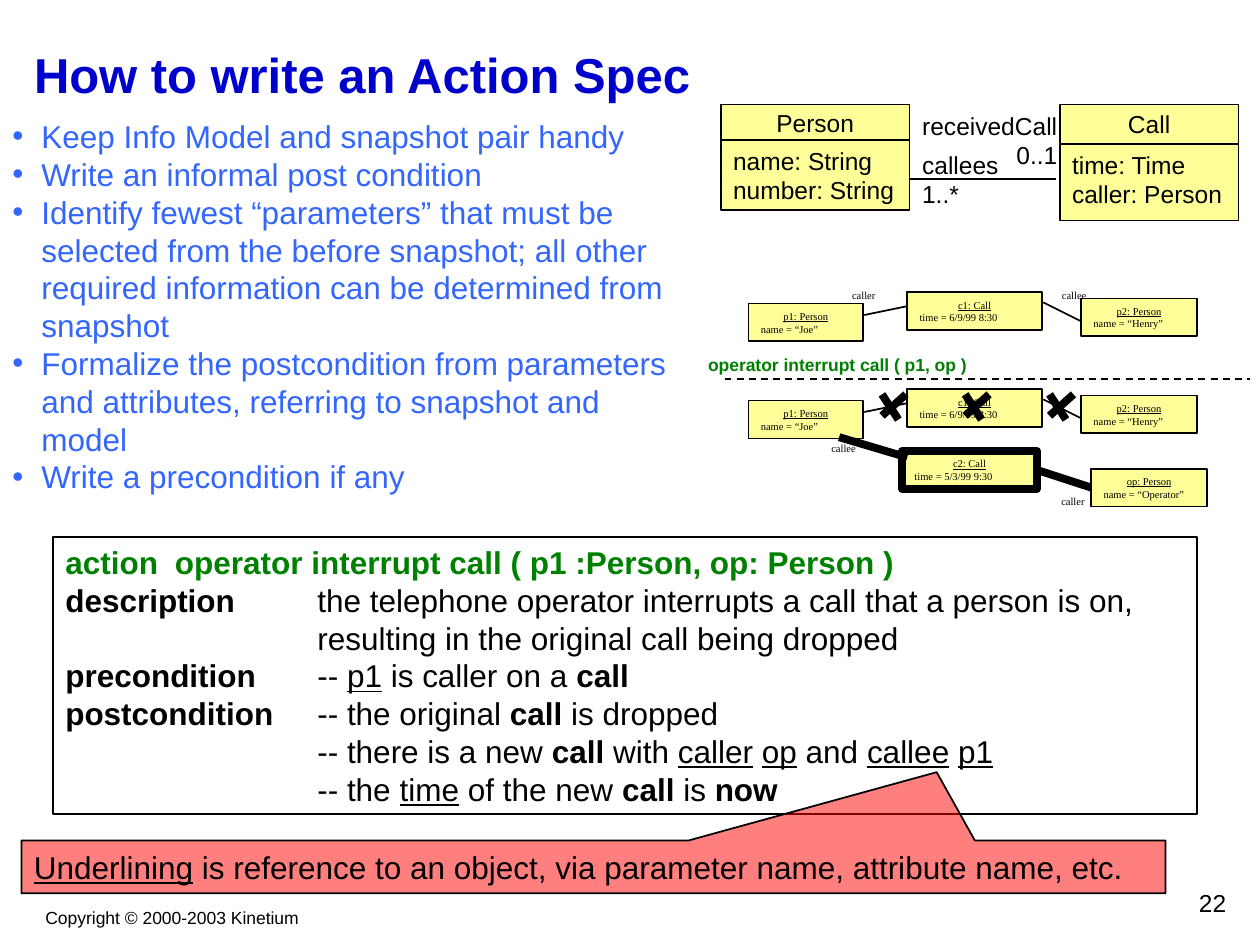
from lxml.etree import SubElement
from pptx import Presentation
from pptx.dml.color import RGBColor
from pptx.enum.dml import MSO_LINE
from pptx.enum.shapes import MSO_CONNECTOR, MSO_SHAPE
from pptx.enum.text import MSO_ANCHOR, PP_ALIGN
from pptx.oxml.ns import qn
from pptx.util import Inches, Pt

BLACK = RGBColor(0x00, 0x00, 0x00)
TITLE_BLUE = RGBColor(0x00, 0x00, 0xCC)
BULLET_BLUE = RGBColor(0x33, 0x66, 0xFF)
GREEN = RGBColor(0x00, 0x80, 0x00)
YELLOW = RGBColor(0xFF, 0xFF, 0x99)
RED = RGBColor(0xFF, 0x00, 0x00)
SANS, SERIF = "Arial", "Times New Roman"
LEFT, CENTER, RIGHT = PP_ALIGN.LEFT, PP_ALIGN.CENTER, PP_ALIGN.RIGHT
TOP, MIDDLE = MSO_ANCHOR.TOP, MSO_ANCHOR.MIDDLE

TITLE = "How to write an Action Spec"
STEPS = [
    "Keep Info Model and snapshot pair handy",
    "Write an informal post condition",
    "Identify fewest “parameters” that must be selected from the before snapshot; "
    "all other required information can be determined from snapshot",
    "Formalize the postcondition from parameters and attributes, "
    "referring to snapshot and model",
    "Write a precondition if any",
]
# A run is plain text or (text, style): b bold, u underlined, g green
SPEC = [
    [("action\toperator interrupt call ( p1 :Person, op: Person )", "bg")],
    [("description\t", "b"), "the telephone operator interrupts a call that a person is on,"],
    ["\tresulting in the original call being dropped"],
    [("precondition\t", "b"), "-- ", ("p1", "u"), " is caller on a ", ("call", "b")],
    [("postcondition\t", "b"), "-- the original ", ("call", "b"), " is dropped"],
    ["\t-- there is a new ", ("call", "b"), " with ", ("caller", "u"), " ", ("op", "u"),
     " and ", ("callee", "u"), " ", ("p1", "u")],
    ["\t-- the ", ("time", "u"), " of the new ", ("call", "b"), " is ", ("now", "b")],
]
SPEC_TABS = [0.87] + [2] * 6
CALLOUT = [[("Underlining", "u"),
            " is reference to an object, via parameter name, attribute name, etc."]]

# name, attributes, left, width, heading height, body height
CLASSES = [
    ("Person", ["name: String", "number: String"], 5.72, 1.5, 0.28, 0.56),
    ("Call", ["time: Time", "caller: Person"], 8.41, 1.42, 0.31, 0.61),
]
CLASS_TOP = 0.83
# lines, box, alignment
ROLES = [
    (["callees", "1..*"], (7.22, 1.14, 0.86, 0.57), LEFT),
    (["receivedCall", "0..1"], (7.19, 0.83, 1.3, 0.57), RIGHT),
]

# Objects and links in both snapshots, placed for the upper one
BEFORE = [
    ("p1: Person", "name = “Joe”", 5.94, 2.41, 0.91),
    ("p2: Person", "name = “Henry”", 8.58, 2.37, 0.92),
    ("c1: Call", "time = 6/9/99 8:30", 7.2, 2.32, 1.07),
]
BEFORE_LINKS = [((6.86, 2.5), (7.2, 2.43)), ((8.28, 2.4), (8.58, 2.55))]
SNAPSHOT_OFFSETS = [0, 0.77]
NEW_CALL = ("c2: Call", "time = 5/3/99 9:30", 7.16, 3.58, 1.07)
OPERATOR = ("op: Person", "name = “Operator”", 8.66, 3.72, 0.92)
LINK_LABELS = [("caller", 6.63, 2.24), ("callee", 8.3, 2.24),
               ("caller", 8.29, 3.88), ("callee", 6.47, 3.46)]
LINK_LABEL_WIDTH = 0.45
CROSS_LEFTS = [7, 7.66, 8.33]
CROSS_TOP = 3.13
THICK = 4.5


def write(shape, paragraphs, size, font=SANS, color=BLACK, alignments=(LEFT,),
          anchor=MIDDLE, wrap=True):
    """Fill a shape with paragraphs of runs; the last alignment repeats."""
    frame = shape.text_frame
    frame.word_wrap, frame.vertical_anchor = wrap, anchor
    for index, runs in enumerate(paragraphs):
        paragraph = frame.paragraphs[0] if index == 0 else frame.add_paragraph()
        paragraph.alignment = alignments[min(index, len(alignments) - 1)]
        for item in [runs] if isinstance(runs, str) else runs:
            text, style = (item, "") if isinstance(item, str) else item
            run = paragraph.add_run()
            run.text = text
            formats = {"size": Pt(size), "name": font, "bold": "b" in style,
                       "underline": "u" in style}
            for name, value in formats.items():
                setattr(run.font, name, value)
            run.font.color.rgb = GREEN if "g" in style else color
    return shape


def add_text(slide, box, paragraphs, size, **formats):
    shape = slide.shapes.add_textbox(*map(Inches, box))
    return write(shape, paragraphs, size, **formats)


def add_box(slide, box, fill=YELLOW, weight=1, kind=MSO_SHAPE.RECTANGLE):
    shape = slide.shapes.add_shape(kind, *map(Inches, box))
    shape.shadow.inherit = False
    if fill is None:
        shape.fill.background()
    else:
        shape.fill.solid()
        shape.fill.fore_color.rgb = fill
    shape.line.color.rgb, shape.line.width = BLACK, Pt(weight)
    return shape


def add_line(slide, start, end, weight=1):
    line = slide.shapes.add_connector(MSO_CONNECTOR.STRAIGHT, *map(Inches, start + end))
    line.line.color.rgb, line.line.width = BLACK, Pt(weight)
    SubElement(line.element.spPr, qn("a:effectLst"))
    return line


def add_object(slide, name, attribute, left, top, width, weight=1):
    shape = add_box(slide, (left, top, width, 0.3), weight=weight)
    return write(shape, [[(name, "u")], attribute], 6, font=SERIF, alignments=(CENTER, LEFT))


def add_bullet(paragraph):
    properties = paragraph._p.get_or_add_pPr()
    properties.set("marL", str(Inches(0.23)))
    properties.set("indent", str(-Inches(0.23)))
    SubElement(properties, qn("a:buFont"), typeface=SANS)
    SubElement(properties, qn("a:buChar"), char="•")


def add_tab(paragraph, position):
    tabs = SubElement(paragraph._p.get_or_add_pPr(), qn("a:tabLst"))
    SubElement(tabs, qn("a:tab"), pos=str(Inches(position)), algn="l")


def draw_class_model(slide):
    for name, attributes, left, width, heading, body in CLASSES:
        write(add_box(slide, (left, CLASS_TOP, width, heading)), [name], 14,
              alignments=(CENTER,), wrap=False)
        write(add_box(slide, (left, CLASS_TOP + heading, width, body)), attributes, 14,
              anchor=TOP, wrap=False)
    add_line(slide, (7.22, 1.42), (8.38, 1.42))
    for lines, box, alignment in ROLES:
        add_text(slide, box, lines, 14, alignments=(alignment,), anchor=TOP)


def draw_snapshots(slide):
    add_line(slide, (5.75, 3.01), (9.92, 3.01)).line.dash_style = MSO_LINE.DASH
    add_text(slide, (5.52, 2.76, 2.25, 0.27), [[("operator interrupt call ( p1, op )", "bg")]],
             10, alignments=(CENTER,), wrap=False)
    for offset in SNAPSHOT_OFFSETS:
        for name, attribute, left, top, width in BEFORE:
            add_object(slide, name, attribute, left, top + offset, width)
        for (x1, y1), (x2, y2) in BEFORE_LINKS:
            add_line(slide, (x1, y1 + offset), (x2, y2 + offset))
    for label, left, top in LINK_LABELS:
        add_text(slide, (left, top, LINK_LABEL_WIDTH, 0.2), [label], 6, font=SERIF,
                 alignments=(CENTER,))
    for left in CROSS_LEFTS:
        add_line(slide, (left + 0.19, CROSS_TOP), (left, CROSS_TOP + 0.17), THICK)
        add_line(slide, (left, CROSS_TOP), (left + 0.13, CROSS_TOP + 0.2), THICK)
    new_call = add_object(slide, *NEW_CALL, weight=THICK)
    add_line(slide, (7.2, 3.63), (6.66, 3.47), THICK)
    operator_link = add_line(slide, (8.23, 3.73), (8.66, 3.87), THICK)
    operator = add_object(slide, *OPERATOR)
    operator_link.begin_connect(new_call, 3)
    operator_link.end_connect(operator, 1)


def main():
    presentation = Presentation()
    presentation.slide_width, presentation.slide_height = Inches(10), Inches(7.5)
    slide = presentation.slides.add_slide(presentation.slide_layouts[5])

    title = slide.shapes.title
    title.left, title.top, title.width, title.height = map(Inches, (0.17, 0.17, 9.67, 0.83))
    write(title, [[(TITLE, "b")]], 28, color=TITLE_BLUE)

    spec = write(add_box(slide, (0.42, 4.26, 9.08, 2.2), fill=None), SPEC, 18)
    for paragraph, position in zip(spec.text_frame.paragraphs, SPEC_TABS):
        add_tab(paragraph, position)

    draw_class_model(slide)
    steps = add_text(slide, (0, 1.03, 5.58, 2.8), STEPS, 18, color=BULLET_BLUE)
    for paragraph in steps.text_frame.paragraphs:
        add_bullet(paragraph)
    draw_snapshots(slide)

    callout = add_box(slide, (0.17, 6.67, 9.08, 0.42), fill=RED,
                      kind=MSO_SHAPE.RECTANGULAR_CALLOUT)
    callout.adjustments[0], callout.adjustments[1] = 0.3, -1.79
    color = callout.element.spPr.find(qn("a:solidFill")).find(qn("a:srgbClr"))
    SubElement(color, qn("a:alpha"), val="50000")
    write(callout, CALLOUT, 18)

    add_text(slide, (0.26, 7.15, 2.21, 0.27), ["Copyright © 2000-2003 Kinetium"], 10,
             alignments=(CENTER,), anchor=TOP, wrap=False)
    add_text(slide, (7.75, 7, 2.08, 0.33), ["22"], 14, alignments=(RIGHT,), anchor=TOP)
    presentation.save("out.pptx")


if __name__ == "__main__":
    main()
